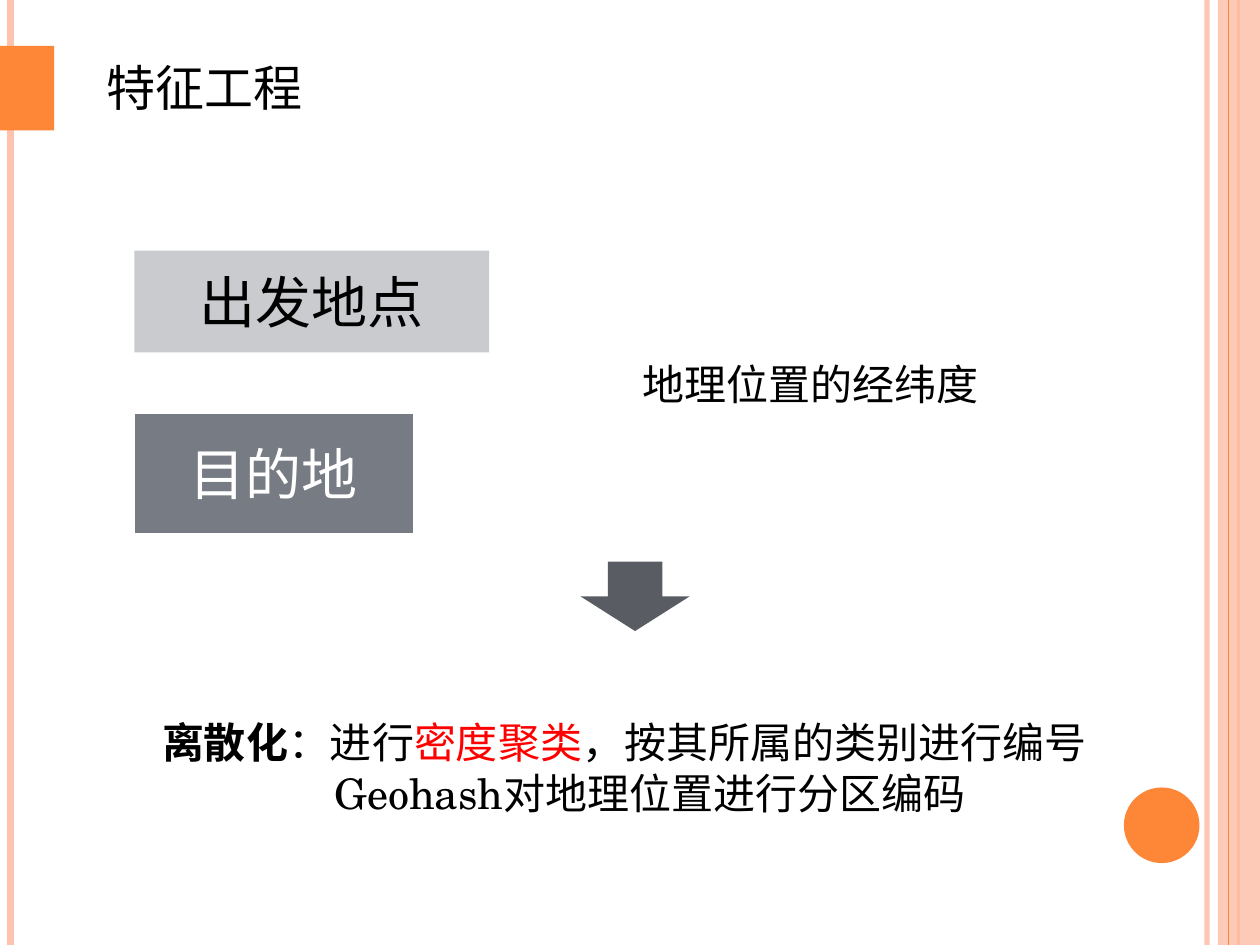
from dataclasses import dataclass
from typing import Optional

from lxml import etree
from pptx import Presentation
from pptx.dml.color import RGBColor
from pptx.enum.shapes import MSO_CONNECTOR, MSO_SHAPE
from pptx.enum.text import MSO_ANCHOR, MSO_AUTO_SIZE, PP_ALIGN
from pptx.oxml.ns import qn
from pptx.util import Pt

RECTANGLE = MSO_SHAPE.RECTANGLE
ELLIPSE = MSO_SHAPE.OVAL
DOWN_ARROW = MSO_SHAPE.DOWN_ARROW
STRAIGHT = MSO_CONNECTOR.STRAIGHT
LEFT, CENTER = PP_ALIGN.LEFT, PP_ALIGN.CENTER
MIDDLE = MSO_ANCHOR.MIDDLE
GROW = MSO_AUTO_SIZE.SHAPE_TO_FIT_TEXT

ORANGE = RGBColor(0xFE, 0x86, 0x37)
PEACH = RGBColor(0xFE, 0xC3, 0xAE)
LIGHT_GRAY = RGBColor(0xC9, 0xCB, 0xCE)
GRAY = RGBColor(0x77, 0x7C, 0x84)
DARK_GRAY = RGBColor(0x59, 0x5D, 0x63)
BLACK = RGBColor(0x00, 0x00, 0x00)
WHITE = RGBColor(0xFF, 0xFF, 0xFF)
RED = RGBColor(0xFF, 0x00, 0x00)

CHINESE_FONT = "Noto Sans CJK SC"
LATIN_FONT = "TeX Gyre Schola"
SLIDE_WIDTH, SLIDE_HEIGHT = 720, 540


@dataclass(frozen=True)
class TextRun:
    text: str
    color: RGBColor = BLACK
    bold: bool = False
    font: str = CHINESE_FONT


@dataclass(frozen=True)
class TextLine:
    runs: tuple[TextRun, ...]
    size: float
    alignment: PP_ALIGN = LEFT
    indent: float = 0


@dataclass(frozen=True)
class Block:
    kind: MSO_SHAPE
    box: tuple[float, float, float, float]
    fill: RGBColor
    opacity: int = 100
    label: Optional[TextLine] = None


@dataclass(frozen=True)
class Stripe:
    x: float
    width: float
    color: RGBColor
    opacity: int = 100


@dataclass(frozen=True)
class Caption:
    box: tuple[float, float, float, float]
    lines: tuple[TextLine, ...]


# Frame: stripes behind and in front of the pale right band
BACK_STRIPES = (
    Stripe(689.8, 3, PEACH, 93),
    Stripe(6, 4.5, PEACH),
    Stripe(707.8, 1.5, ORANGE),
)
BAND = Block(RECTANGLE, (696, 0, 24, SLIDE_HEIGHT), PEACH, 87)
FRONT_STRIPE = Stripe(702, 0.75, ORANGE)
PAGE_DOT = Block(ELLIPSE, (642.25, 450, 43.2, 43.2), ORANGE)

# Content
BLOCKS = (
    Block(RECTANGLE, (76.8, 143.2, 202.8, 58.2), LIGHT_GRAY,
          label=TextLine((TextRun("出发地点"),), 32, CENTER)),
    Block(RECTANGLE, (77.2, 236.7, 158.8, 67.8), GRAY,
          label=TextLine((TextRun("目的地", WHITE),), 32, CENTER)),
    Block(RECTANGLE, (0, 26.2, 31, 48.4), ORANGE),
    Block(DOWN_ARROW, (331.7, 321, 62.4, 39.6), DARK_GRAY),
)
CAPTIONS = (
    Caption((54, 29.5, 193, 41), (TextLine((TextRun("特征工程"),), 28),)),
    Caption((360, 201.6, 244, 36), (TextLine((TextRun("地理位置的经纬度"),), 24),)),
    Caption((85.5, 406.1, 555, 65.5), (
        TextLine((
            TextRun("离散化", bold=True),
            TextRun("：进行"),
            TextRun("密度聚类", RED),
            TextRun("，按其所属的类别进行编号"),
        ), 24),
        TextLine((
            TextRun("Geohash对地理位置进行分区", font=LATIN_FONT),
            TextRun("编码"),
        ), 24, indent=98.5),
    )),
)


def set_opacity(parent, percent: int) -> None:
    if percent < 100:
        color = next(parent.iter(qn("a:srgbClr")))
        etree.SubElement(color, qn("a:alpha"), val=str(percent * 1000))


def write_line(paragraph, line: TextLine) -> None:
    paragraph.alignment = line.alignment
    if line.indent:
        properties = paragraph._p.get_or_add_pPr()
        properties.set("marL", str(int(Pt(line.indent))))
        properties.set("indent", "0")
    for item in line.runs:
        run = paragraph.add_run()
        run.text = item.text
        formats = {"name": item.font, "size": Pt(line.size), "bold": item.bold}
        for name, value in formats.items():
            setattr(run.font, name, value)
        run.font.color.rgb = item.color
        latin = run.font._element.find(qn("a:latin"))
        east_asian = etree.Element(qn("a:ea"), typeface=CHINESE_FONT)
        latin.addnext(east_asian)


def draw_stripe(slide, stripe: Stripe) -> None:
    x = Pt(stripe.x)
    connector = slide.shapes.add_connector(STRAIGHT, x, 0, x, Pt(SLIDE_HEIGHT))
    connector.line.width = Pt(stripe.width)
    connector.line.color.rgb = stripe.color
    properties = connector._element.spPr
    set_opacity(properties, stripe.opacity)
    etree.SubElement(properties, qn("a:effectLst"))


def draw_block(slide, block: Block) -> None:
    shape = slide.shapes.add_shape(block.kind, *map(Pt, block.box))
    shape.shadow.inherit = False
    shape.fill.solid()
    shape.fill.fore_color.rgb = block.fill
    set_opacity(shape._element.spPr, block.opacity)
    shape.line.fill.background()
    if block.label:
        shape.text_frame.vertical_anchor = MIDDLE
        write_line(shape.text_frame.paragraphs[0], block.label)


def draw_caption(slide, caption: Caption) -> None:
    frame = slide.shapes.add_textbox(*map(Pt, caption.box)).text_frame
    for name, value in {"word_wrap": True, "auto_size": GROW}.items():
        setattr(frame, name, value)
    for index, line in enumerate(caption.lines):
        paragraph = frame.add_paragraph() if index else frame.paragraphs[0]
        write_line(paragraph, line)


def main() -> None:
    presentation = Presentation()
    presentation.slide_width = Pt(SLIDE_WIDTH)
    presentation.slide_height = Pt(SLIDE_HEIGHT)
    slide = presentation.slides.add_slide(presentation.slide_layouts[6])

    # Frame
    for stripe in BACK_STRIPES:
        draw_stripe(slide, stripe)
    draw_block(slide, BAND)
    draw_stripe(slide, FRONT_STRIPE)
    draw_block(slide, PAGE_DOT)

    # Content
    for block in BLOCKS:
        draw_block(slide, block)
    for caption in CAPTIONS:
        draw_caption(slide, caption)

    presentation.save("out.pptx")


if __name__ == "__main__":
    main()
